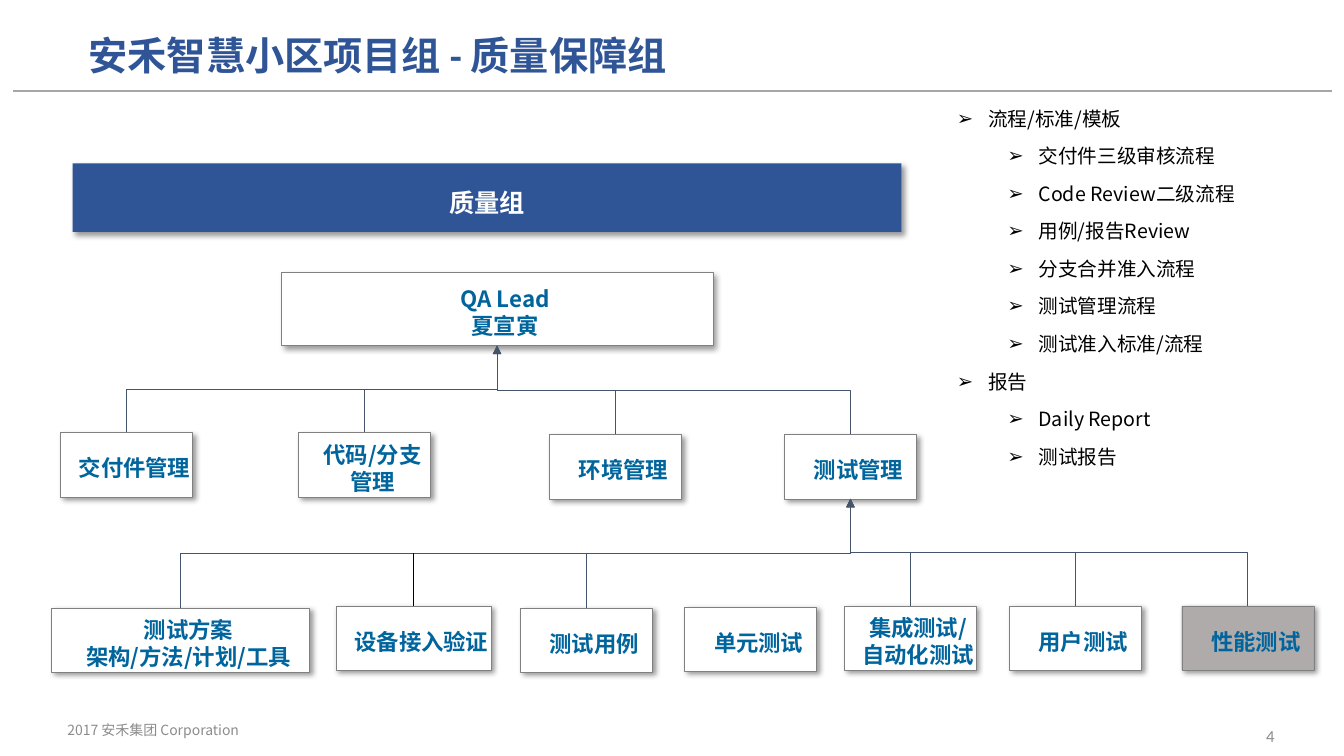
from lxml.etree import SubElement
from pptx import Presentation
from pptx.dml.color import RGBColor
from pptx.enum.shapes import MSO_CONNECTOR, MSO_SHAPE
from pptx.enum.text import MSO_ANCHOR, MSO_AUTO_SIZE, PP_ALIGN
from pptx.oxml.ns import qn
from pptx.util import Inches, Pt

COLORS = {
    "navy": "2F5597",
    "text": "00649D",
    "white": "FFFFFF",
    "black": "000000",
    "disabled": "AFABAB",
    "border": "808080",
    "connector": "44546A",
    "rule": "A6A6A6",
    "footer": "8C8C8C",
}
SANS = "Noto Sans CJK SC"
BOX_WIDTH = 1.31
BOX_HEIGHT = 0.64
BOX_INSETS = (0.16, 0.16, 0, 0.1)

MANAGEMENT = [
    ("交付件管理", 0.6, 4.29),
    ("代码/分支管理", 2.96, 4.29),
    ("环境管理", 5.45, 4.31),
    ("测试管理", 7.78, 4.31),
]
TESTING = [
    ("测试方案\n架构/方法/计划/工具", 0.51, 6.03, 2.56, "elbow", "white"),
    ("设备接入验证", 3.33, 6.01, 1.54, "straight", "white"),
    ("测试用例", 5.16, 6.03, BOX_WIDTH, "elbow", "white"),
    ("单元测试", 6.79, 6.02, BOX_WIDTH, None, "white"),
    ("集成测试/\n自动化测试", 8.37, 6.01, BOX_WIDTH, "elbow", "white"),
    ("用户测试", 10.01, 6.01, BOX_WIDTH, "elbow", "white"),
    ("性能测试", 11.72, 6.01, BOX_WIDTH, "elbow", "disabled"),
]
DELIVERABLES = [
    ("流程/标准/模板", [
        "交付件三级审核流程",
        "Code Review二级流程",
        "用例/报告Review",
        "分支合并准入流程",
        "测试管理流程",
        "测试准入标准/流程",
    ]),
    ("报告", ["Daily Report", "测试报告"]),
]


def color(name):
    return RGBColor.from_string(COLORS[name])


def place(shape, left, top, width, height):
    shape.left, shape.top = Inches(left), Inches(top)
    shape.width, shape.height = Inches(width), Inches(height)


def set_insets(text_frame, left, top, right, bottom):
    text_frame.margin_left, text_frame.margin_top = Inches(left), Inches(top)
    text_frame.margin_right, text_frame.margin_bottom = Inches(right), Inches(bottom)


def format_text(text_frame, size, color_name, bold=False, font=SANS, align=PP_ALIGN.LEFT):
    for paragraph in text_frame.paragraphs:
        paragraph.alignment = align
        for run in paragraph.runs:
            run.font.name = font
            run.font.size = Pt(size)
            run.font.bold = bold
            run.font.color.rgb = color(color_name)
            east_asian = SubElement(run.font._element, qn("a:ea"))
            east_asian.set("typeface", SANS)


def add_outer_shadow(effects):
    shadow = SubElement(effects, qn("a:outerShdw"), blurRad=str(Pt(4)), dist=str(Pt(3)),
                        dir=str(45 * 60000), algn="tl", rotWithShape="0")
    shade = SubElement(shadow, qn("a:srgbClr"), val=COLORS["black"])
    SubElement(shade, qn("a:alpha"), val="40000")


def add_box(slide, text, left, top, width, height, fill="white"):
    shape = slide.shapes.add_shape(
        MSO_SHAPE.RECTANGLE, Inches(left), Inches(top), Inches(width), Inches(height))
    shape.fill.solid()
    shape.fill.fore_color.rgb = color(fill)
    shape.line.color.rgb = color("border")
    shape.line.width = Pt(0.25)
    shape.shadow.inherit = False
    add_outer_shadow(shape._element.spPr.find(qn("a:effectLst")))
    text_frame = shape.text_frame
    text_frame.text = text
    text_frame.word_wrap = True
    text_frame.vertical_anchor = MSO_ANCHOR.MIDDLE
    set_insets(text_frame, *BOX_INSETS)
    format_text(text_frame, 16, "text", bold=True, align=PP_ALIGN.CENTER)
    return shape


def add_line(slide, kind, start, end, color_name, width):
    connector = slide.shapes.add_connector(
        kind, Inches(start[0]), Inches(start[1]), Inches(end[0]), Inches(end[1]))
    connector.line.color.rgb = color(color_name)
    connector.line.width = Pt(width)
    SubElement(connector._element.spPr, qn("a:effectLst"))
    return connector


def add_elbow_arrow(slide, start, end):
    run, rise = abs(end[0] - start[0]), abs(end[1] - start[1])
    left = (start[0] + end[0] - rise) / 2
    top = (start[1] + end[1] - run) / 2
    connector = add_line(slide, MSO_CONNECTOR.ELBOW, (left, top),
                         (left + rise, top + run), "connector", 0.5)
    from_left = start[0] < end[0]
    transform = connector._element.spPr.find(qn("a:xfrm"))
    transform.set("rot", str((90 if from_left else 270) * 60000))
    transform.set("flipH", "1" if from_left else "0")
    transform.set("flipV", "1")
    SubElement(connector.line._get_or_add_ln(), qn("a:tailEnd"), type="triangle")


def add_heading(slide, left, top, width, height):
    title = slide.shapes.title
    place(title, left, top, width, height)
    text_frame = title.text_frame
    text_frame.text = "安禾智慧小区项目组 - 质量保障组"
    text_frame.auto_size = MSO_AUTO_SIZE.NONE
    text_frame.vertical_anchor = MSO_ANCHOR.MIDDLE
    paragraph = text_frame.paragraphs[0]
    paragraph.line_spacing = 0.9
    format_text(text_frame, 28, "navy", bold=True, font="Calibri")
    properties = paragraph.runs[0].font._element
    effects = SubElement(properties, qn("a:effectLst"))
    add_outer_shadow(effects)
    properties.find(qn("a:solidFill")).addnext(effects)
    add_line(slide, MSO_CONNECTOR.STRAIGHT, (0.13, 0.9), (13.21, 0.9), "rule", 1.5)


def add_deliverables(slide, left, top, width, height):
    body = slide.placeholders[1]
    place(body, left, top, width, height)
    text_frame = body.text_frame
    entries = [entry for heading, items in DELIVERABLES
               for entry in [(heading, 0)] + [(item, 1) for item in items]]
    text_frame.text = "\n".join(text for text, level in entries)
    text_frame.auto_size = MSO_AUTO_SIZE.NONE
    text_frame.word_wrap = True
    text_frame.vertical_anchor = MSO_ANCHOR.TOP
    set_insets(text_frame, 0.04, 0.04, 0.04, 0.04)
    format_text(text_frame, 14, "black")
    for paragraph, (text, level) in zip(text_frame.paragraphs, entries):
        paragraph.level = level
        paragraph.line_spacing = 1.24
        paragraph.space_before = Pt(6)
        properties = paragraph._element.get_or_add_pPr()
        properties.set("marL", str(Inches(0.31 + 0.5 * level)))
        properties.set("indent", str(Inches(-0.31)))
        SubElement(properties, qn("a:buChar"), char="➢")


def add_organization(slide, left, top, width, height):
    banner = add_box(slide, "质量组", left, top, width, height, "navy")
    banner.line.fill.background()
    banner.text_frame.word_wrap = False
    set_insets(banner.text_frame, 0.02, 0.1, 0.02, 0.01)
    format_text(banner.text_frame, 18, "white", bold=True, align=PP_ALIGN.CENTER)

    lead_left, lead_top, lead_width, lead_height = left + 2.07, top + 1.08, 4.28, 0.73
    add_box(slide, "QA Lead\n夏宣寅", lead_left, lead_top, lead_width, lead_height)
    lead_foot = (lead_left + lead_width / 2, lead_top + lead_height)
    for text, box_left, box_top in MANAGEMENT:
        add_box(slide, text, box_left, box_top, BOX_WIDTH, BOX_HEIGHT)
        add_elbow_arrow(slide, (box_left + BOX_WIDTH / 2, box_top), lead_foot)

    testing_foot = (box_left + BOX_WIDTH / 2, box_top + BOX_HEIGHT)
    for text, box_left, box_top, box_width, link, fill in TESTING:
        add_box(slide, text, box_left, box_top, box_width, BOX_HEIGHT, fill)
        head = (box_left + box_width / 2, box_top)
        if link == "elbow":
            add_elbow_arrow(slide, head, testing_foot)
        elif link == "straight":
            add_line(slide, MSO_CONNECTOR.STRAIGHT, (head[0], 5.49), head, "black", 0.5)


def add_footer(slide, text, left, top, size, font, align):
    footer = slide.shapes.add_textbox(Inches(left), Inches(top), Inches(3), Inches(0.4))
    footer.text_frame.text = text
    footer.text_frame.word_wrap = True
    footer.text_frame.vertical_anchor = MSO_ANCHOR.MIDDLE
    format_text(footer.text_frame, size, "footer", font=font, align=align)


def main():
    presentation = Presentation()
    presentation.slide_width, presentation.slide_height = Inches(13.33), Inches(7.5)
    slide = presentation.slides.add_slide(presentation.slide_layouts[1])
    add_heading(slide, 0.78, 0.18, 9.53, 0.79)
    add_organization(slide, 0.72, 1.62, 8.22, 0.68)
    add_deliverables(slide, 9.45, 0.96, 3.57, 4.42)
    add_footer(slide, "2017 安禾集团 Corporation", 0.57, 7.04, 10, SANS, PP_ALIGN.LEFT)
    add_footer(slide, "4", 9.74, 7.1, 12, "Calibri", PP_ALIGN.RIGHT)
    presentation.save("out.pptx")


if __name__ == "__main__":
    main()
